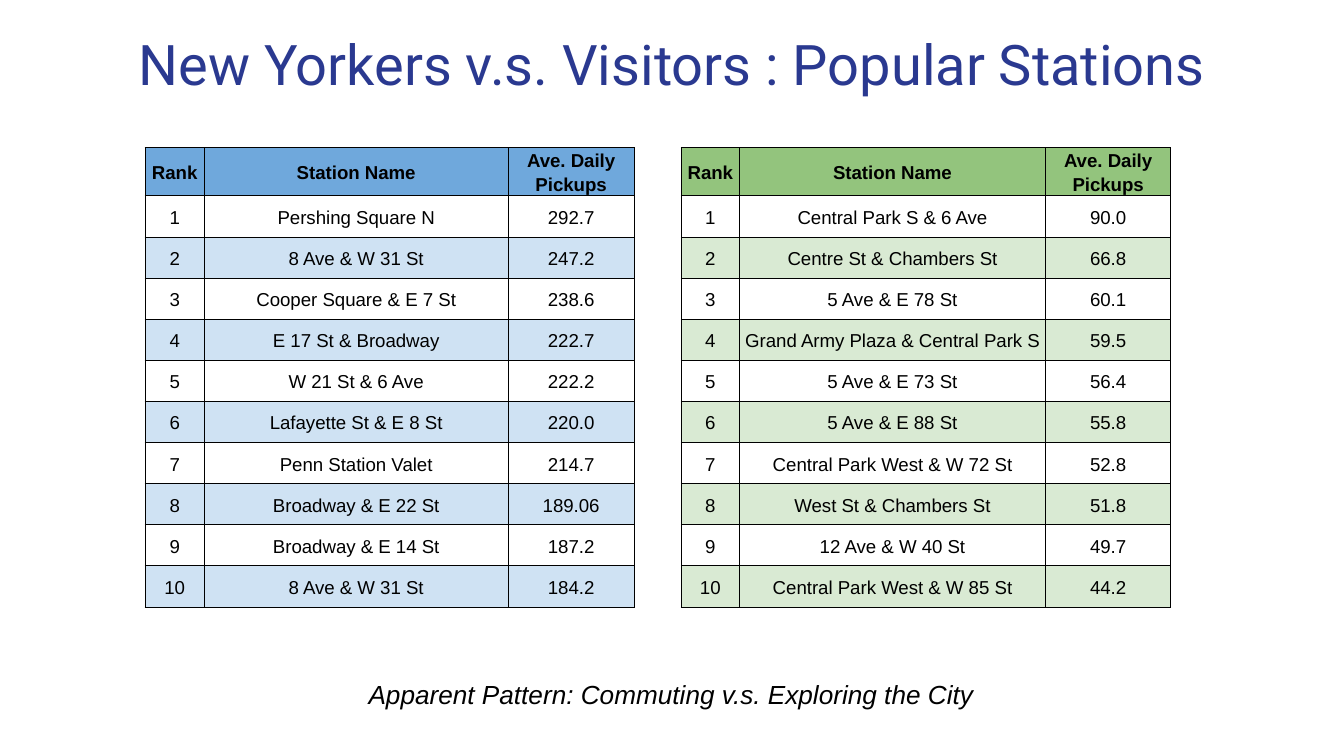
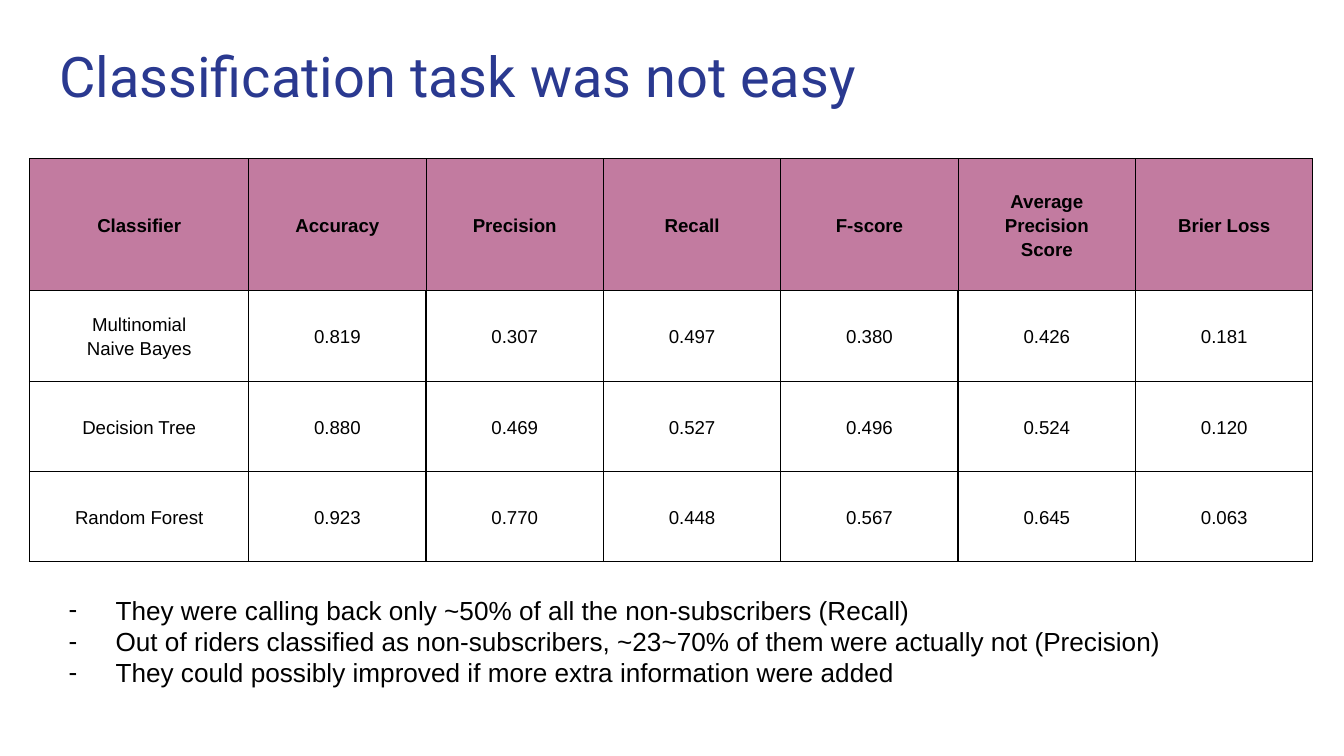
from lxml.etree import SubElement
from pptx import Presentation
from pptx.dml.color import RGBColor
from pptx.enum.text import MSO_ANCHOR as Anchor, MSO_AUTO_SIZE as AutoSize, PP_ALIGN as Align
from pptx.oxml.ns import qn
from pptx.util import Inches, Pt

NAVY = RGBColor(0x2A, 0x39, 0x90)
BLACK = RGBColor(0x00, 0x00, 0x00)
WHITE = RGBColor(0xFF, 0xFF, 0xFF)
BLUE = RGBColor(0x6F, 0xA8, 0xDC)
PALE_BLUE = RGBColor(0xCF, 0xE2, 0xF3)
GREEN = RGBColor(0x93, 0xC4, 0x7D)
PALE_GREEN = RGBColor(0xD9, 0xEA, 0xD3)
MAUVE = RGBColor(0xC2, 0x7B, 0xA0)

TITLE_ONLY, TITLE_AND_BODY = 5, 1
STATION_HEADER = ("Rank", "Station Name", "Ave. Daily Pickups")
NEW_YORKER_STATIONS = [
    ("Pershing Square N", "292.7"),
    ("8 Ave & W 31 St", "247.2"),
    ("Cooper Square & E 7 St", "238.6"),
    ("E 17 St & Broadway", "222.7"),
    ("W 21 St & 6 Ave", "222.2"),
    ("Lafayette St & E 8 St", "220.0"),
    ("Penn Station Valet", "214.7"),
    ("Broadway & E 22 St", "189.06"),
    ("Broadway & E 14 St", "187.2"),
    ("8 Ave & W 31 St", "184.2"),
]
VISITOR_STATIONS = [
    ("Central Park S & 6 Ave", "90.0"),
    ("Centre St & Chambers St", "66.8"),
    ("5 Ave & E 78 St", "60.1"),
    ("Grand Army Plaza & Central Park S", "59.5"),
    ("5 Ave & E 73 St", "56.4"),
    ("5 Ave & E 88 St", "55.8"),
    ("Central Park West & W 72 St", "52.8"),
    ("West St & Chambers St", "51.8"),
    ("12 Ave & W 40 St", "49.7"),
    ("Central Park West & W 85 St", "44.2"),
]
CLASSIFIER_SCORES = [
    ("Classifier", "Accuracy", "Precision", "Recall", "F-score",
     "Average\nPrecision\nScore", "Brier Loss"),
    ("Multinomial\nNaive Bayes", "0.819", "0.307", "0.497", "0.380", "0.426", "0.181"),
    ("Decision Tree", "0.880", "0.469", "0.527", "0.496", "0.524", "0.120"),
    ("Random Forest", "0.923", "0.770", "0.448", "0.567", "0.645", "0.063"),
]
FINDINGS = "\n".join([
    "They were calling back only ~50% of all the non-subscribers (Recall)",
    "Out of riders classified as non-subscribers, ~23~70% of them were actually not (Precision)",
    "They could possibly improved if more extra information were added",
])


def write_text(frame, text, size=10, font="Arial", color=BLACK, bold=False, italic=False,
               align=Align.LEFT, spacing=1.0, before=0):
    """Fill a text frame with one formatted paragraph per line."""
    for index, line in enumerate(text.split("\n")):
        para = frame.add_paragraph() if index else frame.paragraphs[0]
        para.alignment = align
        para.line_spacing = spacing
        para.space_before = Pt(before)
        span = para.add_run()
        span.text = line
        span.font.size = Pt(size)
        span.font.name = font
        span.font.color.rgb = color
        span.font.bold = bold
        span.font.italic = italic


def place(shape, box):
    """Move a text shape to a box and return its prepared frame."""
    shape.left, shape.top, shape.width, shape.height = map(Inches, box)
    frame = shape.text_frame
    frame.word_wrap = True
    frame.auto_size = AutoSize.NONE
    frame.vertical_anchor = Anchor.TOP
    frame.margin_left = frame.margin_right = Inches(0.1)
    frame.margin_top = frame.margin_bottom = Inches(0.1)
    return frame


def add_page(deck, layout, title, top, align=Align.LEFT):
    """Add a page with the shared title style."""
    page = deck.slides.add_slide(deck.slide_layouts[layout])
    frame = place(page.shapes.title, (0.34, top, 9.32, 0.66))
    write_text(frame, title, size=30, font="Roboto", color=NAVY, align=align)
    return page


def add_caption(page, box, text):
    """Add a centred italic caption."""
    frame = place(page.shapes.add_textbox(*map(Inches, box)), box)
    write_text(frame, text, size=14, italic=True, align=Align.CENTER)


def fill_list(page, box, text):
    """Place the body placeholder as a dashed list."""
    frame = place(page.placeholders[1], box)
    write_text(frame, text, size=14)
    for para in frame.paragraphs:
        properties = para._p.get_or_add_pPr()
        properties.set("marL", str(Inches(0.5)))
        properties.set("indent", str(Inches(-0.35)))
        color = SubElement(properties, qn("a:buClr"))
        SubElement(color, qn("a:srgbClr"), val=str(BLACK))
        SubElement(properties, qn("a:buFont"), typeface="Arial")
        SubElement(properties, qn("a:buChar"), char="-")


def draw_borders(cell, side_width, bottom_width):
    """Draw black lines on the four sides of a cell."""
    properties = cell._tc.get_or_add_tcPr()
    for side in "LRTB":
        width = bottom_width if side == "B" else side_width
        line = SubElement(properties, qn(f"a:ln{side}"), w=str(Pt(width)))
        fill = SubElement(line, qn("a:solidFill"))
        SubElement(fill, qn("a:srgbClr"), val=str(BLACK))


def add_grid(page, corner, rows, widths, heights, fills, margin=0, before=0, body_line=0.5):
    """Add a table whose first row is a bold header and whose rows take the given fills."""
    left, top = corner
    box = map(Inches, (left, top, sum(widths), sum(heights)))
    table = page.shapes.add_table(len(rows), len(widths), *box).table
    table.horz_banding = False
    for column, width in zip(table.columns, widths):
        column.width = Inches(width)
    for index, (row, height, fill) in enumerate(zip(rows, heights, fills)):
        table.rows[index].height = Inches(height)
        for cell, text in zip(table.rows[index].cells, row):
            cell.vertical_anchor = Anchor.MIDDLE
            cell.margin_left = cell.margin_right = Inches(margin)
            cell.margin_top = cell.margin_bottom = Inches(margin)
            draw_borders(cell, body_line if index else 0.5, body_line)
            if fill is None:
                cell.fill.background()
            else:
                cell.fill.solid()
                cell.fill.fore_color.rgb = fill
            write_text(cell.text_frame, text, bold=index == 0, align=Align.CENTER,
                       spacing=1.15, before=before)


def add_ranking(page, corner, stations, widths, header_fill, band_fill):
    """Add a ranked station table with every second row shaded."""
    ranked = [(str(rank), *station) for rank, station in enumerate(stations, 1)]
    count = len(ranked)
    heights = [0.32] + [3.06 / count] * count
    fills = [header_fill] + [None if index % 2 == 0 else band_fill for index in range(count)]
    add_grid(page, corner, [STATION_HEADER] + ranked, widths, heights, fills, before=9)


def build_stations(deck):
    """Build the page that compares popular stations."""
    page = add_page(deck, TITLE_ONLY, "New Yorkers v.s. Visitors : Popular Stations",
                    0.12, Align.CENTER)
    add_ranking(page, (1.08, 1.1), NEW_YORKER_STATIONS, (0.44, 2.26, 0.94), BLUE, PALE_BLUE)
    add_ranking(page, (5.07, 1.1), VISITOR_STATIONS, (0.43, 2.28, 0.93), GREEN, PALE_GREEN)
    add_caption(page, (1.41, 4.95, 7.17, 0.4),
                "Apparent Pattern: Commuting v.s. Exploring the City")


def build_classifiers(deck):
    """Build the page that compares classifier scores."""
    page = add_page(deck, TITLE_AND_BODY, "Classification task was not easy", 0.21)
    add_grid(page, (0.22, 1.18), CLASSIFIER_SCORES, [1.63] + [1.32] * 6,
             (0.98, 0.68, 0.67, 0.67), [MAUVE] + [WHITE] * 3, margin=0.02, body_line=0.75)
    fill_list(page, (0.26, 4.32, 9.62, 1.01), FINDINGS)


def main():
    """Build and save the deck."""
    deck = Presentation()
    deck.slide_width = Inches(10)
    deck.slide_height = deck.slide_width * 9 // 16
    build_stations(deck)
    build_classifiers(deck)
    deck.save("out.pptx")


if __name__ == "__main__":
    main()
